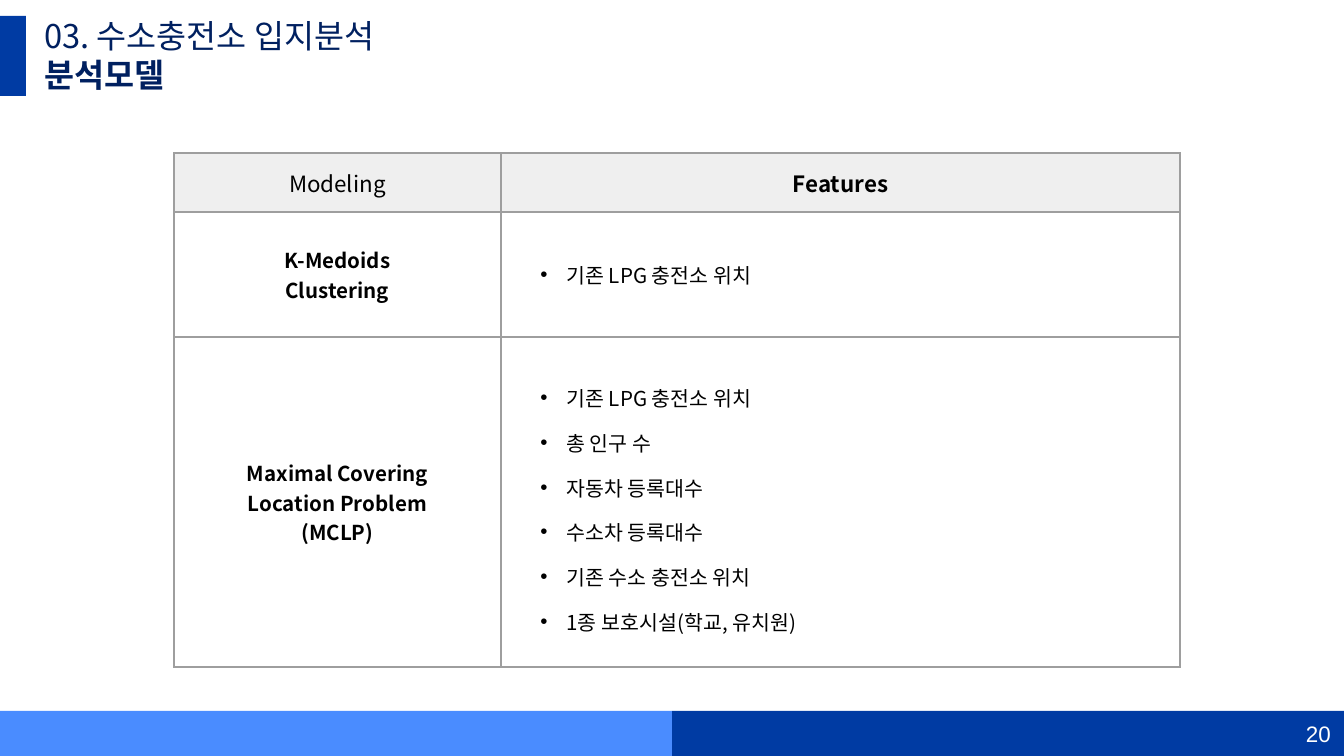
from lxml.etree import SubElement
from pptx import Presentation
from pptx.dml.color import RGBColor as RGB
from pptx.enum.shapes import MSO_SHAPE as SHAPE
from pptx.enum.text import MSO_ANCHOR as ANCHOR, PP_ALIGN as ALIGN
from pptx.oxml import parse_xml
from pptx.oxml.ns import nsdecls, qn
from pptx.util import Pt

EMU_PER_PX = 914400 / 134.4
WIDTH, HEIGHT = 1344, 756
KOREAN = "Noto Sans CJK KR"
COLORS = {
    "navy": "003BA3", "sky": "4A8CFF", "title": "002060", "white": "FFFFFF",
    "black": "000000", "header": "EFEFEF", "border": "9E9E9E",
}
HEADERS = [("Modeling", False), ("Features", True)]
MODELS = [
    (["K-Medoids", "Clustering"], ["기존 LPG 충전소 위치"], 1),
    (["Maximal Covering", "Location Problem", "(MCLP)"],
     ["기존 LPG 충전소 위치", "총 인구 수", "자동차 등록대수", "수소차 등록대수",
      "기존 수소 충전소 위치", "1종 보호시설(학교, 유치원)"], 1.5),
]


def px(length):
    return round(length * EMU_PER_PX)


def color(name):
    return RGB.from_string(COLORS[name])


def style(paragraph, size, ink, bold=False, font=KOREAN):
    for run in paragraph.runs:
        run.font.size = Pt(size)
        run.font.bold = bold
        run.font.color.rgb = color(ink)
        run.font.name = font
        SubElement(run._r.get_or_add_rPr(), qn("a:ea"), typeface=font)


def add_bar(slide, x, y, w, h, fill):
    bar = slide.shapes.add_shape(SHAPE.RECTANGLE, px(x), px(y), px(w), px(h))
    bar.shadow.inherit = False
    bar.fill.solid()
    bar.fill.fore_color.rgb = color(fill)
    bar.line.fill.background()


def add_text(slide, x, y, w, h, text):
    frame = slide.shapes.add_textbox(px(x), px(y), px(w), px(h)).text_frame
    frame.word_wrap = True
    frame.text = text
    return frame


def add_heading(slide, x, y, h):
    add_bar(slide, 0, y, 26, h, "navy")
    lines = [("03. 수소충전소 입지분석", False), ("분석모델", True)]
    for i, (text, bold) in enumerate(lines):
        frame = add_text(slide, x, y + i * 39, 833, 39, text)
        frame.margin_left = frame.margin_right = 0
        frame.margin_top = frame.margin_bottom = 0
        frame.paragraphs[0].line_spacing = Pt(21)
        style(frame.paragraphs[0], 17.5, "title", bold)


def add_footer(slide, y, h):
    half = WIDTH // 2
    add_bar(slide, half, y, half, h, "navy")
    add_bar(slide, 0, y, half, h, "sky")
    frame = add_text(slide, 1042, y + 3, 302, 40, "20")
    frame.vertical_anchor = ANCHOR.MIDDLE
    frame.paragraphs[0].alignment = ALIGN.RIGHT
    style(frame.paragraphs[0], 12, "white", font="Arial")


def fill_cell(cell, lines, size, bold, fill="white", bulleted=False, spacing=1):
    cell.vertical_anchor = ANCHOR.MIDDLE
    cell.fill.solid()
    cell.fill.fore_color.rgb = color(fill)
    props = cell._tc.get_or_add_tcPr()
    for i, side in enumerate("LRTB"):
        props.insert(i, parse_xml(
            f'<a:ln{side} {nsdecls("a")} w="{Pt(0.75)}"><a:solidFill>'
            f'<a:srgbClr val="{COLORS["border"]}"/></a:solidFill></a:ln{side}>'))
    cell.text_frame.text = "\n".join(lines)
    for paragraph in cell.text_frame.paragraphs:
        if bulleted:
            paragraph.line_spacing = spacing
            layout = paragraph._p.get_or_add_pPr()
            layout.set("marL", str(px(52)))
            layout.set("indent", str(px(-26)))
            bullet_color = SubElement(layout, qn("a:buClr"))
            SubElement(bullet_color, qn("a:srgbClr"), val=COLORS["black"])
            SubElement(layout, qn("a:buFont"), typeface="Arial")
            SubElement(layout, qn("a:buChar"), char="•")
        else:
            paragraph.alignment = ALIGN.CENTER
        style(paragraph, size, "black", bold)


def add_model_table(slide, x, y, widths, heights):
    table = slide.shapes.add_table(
        len(heights), len(widths), px(x), px(y),
        px(sum(widths)), px(sum(heights))).table
    for column, width in zip(table.columns, widths):
        column.width = px(width)
    for row, height in zip(table.rows, heights):
        row.height = px(height)
    for i, (header, bold) in enumerate(HEADERS):
        fill_cell(table.cell(0, i), [header], 12, bold, "header")
    for i, (model, features, spacing) in enumerate(MODELS, 1):
        fill_cell(table.cell(i, 0), model, 11, True)
        fill_cell(table.cell(i, 1), features, 11, False,
                  bulleted=True, spacing=spacing)


def main():
    deck = Presentation()
    deck.slide_width, deck.slide_height = px(WIDTH), px(HEIGHT)
    slide = deck.slides.add_slide(deck.slide_layouts[6])
    add_footer(slide, 711, 45)
    add_model_table(slide, 174, 153, [327, 679], [59, 125, 330])
    add_heading(slide, 44, 16, 80)
    deck.save("out.pptx")


if __name__ == "__main__":
    main()
